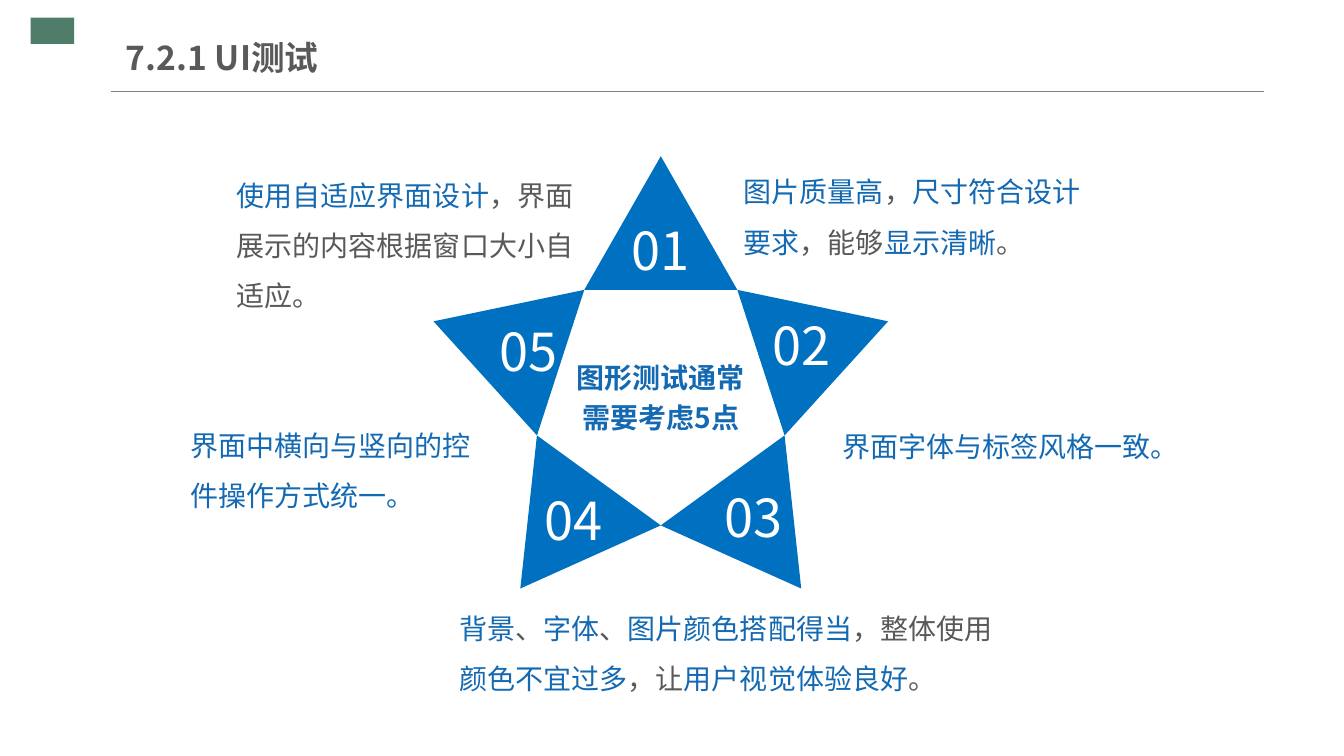
import dataclasses
import math

import pptx
import pptx.dml.color
import pptx.enum.shapes
import pptx.enum.text
import pptx.oxml.ns
import pptx.util
from lxml import etree

Pt = pptx.util.Pt
RGB = pptx.dml.color.RGBColor.from_string
ALIGN = pptx.enum.text.PP_ALIGN
ANCHOR = pptx.enum.text.MSO_ANCHOR
AUTOSIZE = pptx.enum.text.MSO_AUTO_SIZE


@dataclasses.dataclass(frozen=True)
class Theme:
    font: str = "Noto Sans CJK SC"
    green: str = "4F7D6A"
    rule: str = "808080"
    star: str = "0070C0"
    key: str = "1369B2"
    body: str = "595959"
    white: str = "FFFFFF"
    title_size: float = 24
    number_size: float = 37.4
    body_size: float = 20


def apply(target, formats):
    for name, value in formats.items():
        setattr(target, name, value)


class SlideBuilder:
    def __init__(self, slide, theme):
        self.slide = slide
        self.theme = theme

    def set_text(self, frame, runs, size, frame_format, paragraph_format, bold=False):
        """Fill a text frame with one paragraph of (text, colour) runs."""
        apply(frame, {"word_wrap": True, **frame_format})
        paragraph = frame.paragraphs[0]
        apply(paragraph, paragraph_format)
        for text, colour in runs:
            run = paragraph.add_run()
            run.text = text
            apply(run.font, {"size": Pt(size), "bold": bold, "name": self.theme.font})
            run.font.color.rgb = RGB(colour)
            east_asian = etree.SubElement(run.font._element, pptx.oxml.ns.qn("a:ea"))
            east_asian.set("typeface", self.theme.font)

    def title(self, text, left, top, width, height):
        heading = self.slide.shapes.title
        apply(heading, {"left": Pt(left), "top": Pt(top),
                        "width": Pt(width), "height": Pt(height)})
        self.set_text(heading.text_frame, [(text, self.theme.body)], self.theme.title_size,
                      {"margin_left": 0, "margin_right": 0, "margin_top": Pt(5),
                       "margin_bottom": Pt(5), "vertical_anchor": ANCHOR.MIDDLE,
                       "auto_size": AUTOSIZE.NONE},
                      {"alignment": ALIGN.LEFT}, bold=True)

    def text(self, runs, left, top, width, height, size, inset=True,
             bold=False, **paragraph_format):
        box = self.slide.shapes.add_textbox(Pt(left), Pt(top), Pt(width), Pt(height))
        sides = () if inset else ("left", "right", "top", "bottom")
        margins = {f"margin_{side}": 0 for side in sides}
        self.set_text(box.text_frame, runs, size,
                      {"auto_size": AUTOSIZE.SHAPE_TO_FIT_TEXT, **margins},
                      paragraph_format, bold)

    def fill(self, shape, colour):
        shape.shadow.inherit = False
        shape.fill.solid()
        shape.fill.fore_color.rgb = RGB(colour)
        shape.line.fill.background()

    def block(self, left, top, width, height, colour):
        rectangle = pptx.enum.shapes.MSO_SHAPE.RECTANGLE
        self.fill(self.slide.shapes.add_shape(
            rectangle, Pt(left), Pt(top), Pt(width), Pt(height)), colour)

    def rule(self, left, right, y, colour):
        line = self.slide.shapes.add_connector(
            pptx.enum.shapes.MSO_CONNECTOR.STRAIGHT, Pt(left), Pt(y), Pt(right), Pt(y))
        line.line.color.rgb = RGB(colour)
        line.line.width = Pt(0.75)
        etree.SubElement(line._element.spPr, pptx.oxml.ns.qn("a:effectLst"))

    def polygon(self, points, colour):
        corners = [(Pt(x), Pt(y)) for x, y in points]
        builder = self.slide.shapes.build_freeform(*corners[0])
        builder.add_line_segments(corners[1:], close=True)
        self.fill(builder.convert_to_shape(), colour)


STAR_CENTRE = (472, 282.3)
TIP_RADIUS, INNER_RADIUS = 170.7, 93


def star_point(radius, degrees):
    """Point at a clockwise angle from straight up."""
    angle = math.radians(degrees)
    return (STAR_CENTRE[0] + radius * math.sin(angle),
            STAR_CENTRE[1] - radius * math.cos(angle))


# Boxes are left, top, width, height
NUMBER_BOXES = [
    (443.5, 155.5, 56.9, 45.4),
    (537.8, 223.9, 69.1, 45.4),
    (509.8, 346.3, 56.2, 45.4),
    (383.8, 348.5, 51.8, 45.4),
    (352.8, 228.2, 49, 45.4),
]

# Phrases alternate between key and body colour, starting with key
POINTS = [
    ((524.2, 109.4, 259.2, 79.9), 1.5,
     ["图片质量高", "，", "尺寸符合设计要求", "，能够", "显示清晰", "。"]),
    ((594.7, 303.1, 254.2, 31.7), 1.0, ["界面字体与标签风格一致。"]),
    ((321.1, 421.2, 411.1, 79.9), 1.5,
     ["背景", "、", "字体", "、", "图片颜色搭配得当", "，整体使用",
      "颜色不宜过多", "，让", "用户视觉体验良好", "。"]),
    ((128.9, 290.2, 228.2, 75.6), 1.5, ["界面中横向与竖向的控件操作方式统一。"]),
    ((162, 111.6, 273.6, 116.6), 1.5,
     ["使用自适应界面设计", "，界面展示的内容根据窗口大小自适应。"]),
]


def main():
    theme = Theme()
    deck = pptx.Presentation()
    apply(deck, {"slide_width": Pt(960), "slide_height": Pt(540)})
    page = SlideBuilder(deck.slides.add_slide(deck.slide_layouts[5]), theme)

    # Header
    page.block(21.9, 12.5, 31, 18.9, theme.green)
    page.rule(79.5, 903, 65.7, theme.rule)
    page.title("7.2.1 UI测试", 90, 20.9, 339.1, 39.6)

    # Star tips
    for tip in range(0, 360, 72):
        page.polygon([star_point(INNER_RADIUS, tip - 36), star_point(TIP_RADIUS, tip),
                      star_point(INNER_RADIUS, tip + 36)], theme.star)

    # Numbers on the tips
    for number, box in enumerate(NUMBER_BOXES, 1):
        page.text([(f"{number:02}", theme.white)], *box, theme.number_size,
                  inset=False, alignment=ALIGN.CENTER)

    # Centre statement
    page.text([("图形测试通常需要考虑5点", theme.key)], 403.9, 252.7, 136.1, 58.3,
              theme.body_size, inset=False, bold=True,
              alignment=ALIGN.CENTER, line_spacing=Pt(28.8))

    # Five points around the star
    for box, spacing, phrases in POINTS:
        runs = [(phrase, theme.body if index % 2 else theme.key)
                for index, phrase in enumerate(phrases)]
        page.text(runs, *box, theme.body_size, line_spacing=spacing)

    deck.save("out.pptx")


if __name__ == "__main__":
    main()
